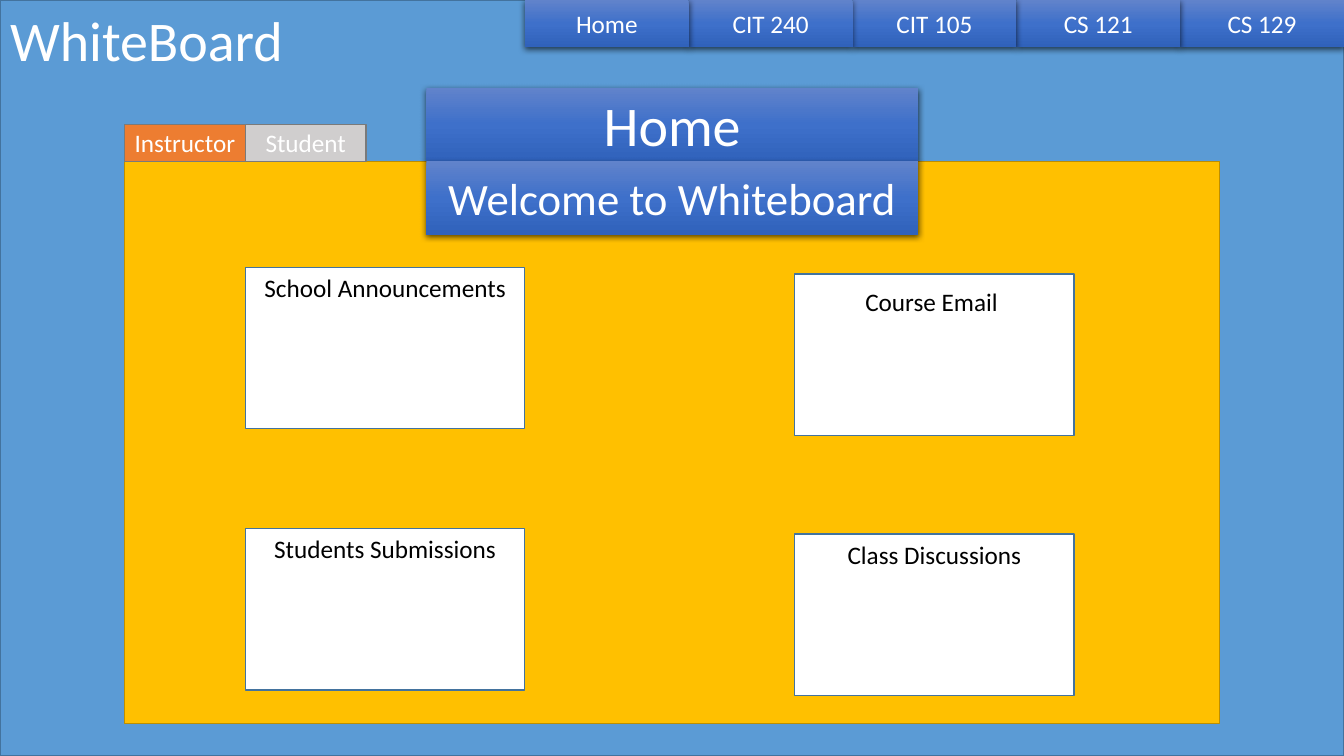
from dataclasses import dataclass
from typing import Optional

from lxml import etree
from pptx import Presentation
from pptx.dml.color import RGBColor
from pptx.enum.shapes import MSO_SHAPE
from pptx.enum.text import MSO_ANCHOR, MSO_AUTO_SIZE, PP_ALIGN
from pptx.oxml.ns import qn
from pptx.util import Pt

RECTANGLE = MSO_SHAPE.RECTANGLE
TOP, MIDDLE = MSO_ANCHOR.TOP, MSO_ANCHOR.MIDDLE
LEFT, CENTER = PP_ALIGN.LEFT, PP_ALIGN.CENTER
GROW = MSO_AUTO_SIZE.SHAPE_TO_FIT_TEXT
TITLE_ONLY = 5


@dataclass(frozen=True)
class Theme:
    font: str = "Calibri"
    heading: float = 40
    subheading: float = 32
    body: float = 18
    white: str = "FFFFFF"
    black: str = "000000"
    sky: str = "5B9BD5"
    blue_line: str = "43739E"
    gold: str = "FFC000"
    gold_line: str = "BD8E00"
    orange: str = "ED7D31"
    silver: str = "D0CECE"
    grey_line: str = "7A7A7A"
    glossy: tuple = ((0, "6183CB"), (50, "3E70CA"), (100, "3062BB"))


@dataclass(frozen=True)
class Box:
    left: float
    top: float
    width: float
    height: float

    def lengths(self) -> tuple:
        return Pt(self.left), Pt(self.top), Pt(self.width), Pt(self.height)


@dataclass(frozen=True)
class Button:
    text: str
    box: Box
    size: float


@dataclass(frozen=True)
class Tab:
    text: str
    fill: str


@dataclass(frozen=True)
class Card:
    text: str
    left: float
    top: float
    label_drop: float = 0


THEME = Theme()
SLIDE = Box(0, 0, 960, 540)
PANEL = Box(89, 115.2, 782, 401.6)

NAV_LEFT, NAV_WIDTH, NAV_HEIGHT = 375, 117, 33.8
NAV_NAMES = ("Home", "CIT 240", "CIT 105", "CS 121", "CS 129")
NAV = [Button(name, Box(NAV_LEFT + i * NAV_WIDTH, 0, NAV_WIDTH, NAV_HEIGHT), THEME.body)
       for i, name in enumerate(NAV_NAMES)]

BANNER_LEFT, BANNER_WIDTH, BANNER_HEIGHT = 304.5, 351.2, 52.4
BANNERS = (
    Button("Home", Box(BANNER_LEFT, PANEL.top - BANNER_HEIGHT, BANNER_WIDTH, BANNER_HEIGHT),
           THEME.heading),
    Button("Welcome to Whiteboard", Box(BANNER_LEFT, PANEL.top, BANNER_WIDTH, BANNER_HEIGHT),
           THEME.subheading),
)

TAB_WIDTH, TAB_HEIGHT = 86.3, 26.2
TABS = (Tab("Instructor", THEME.orange), Tab("Student", THEME.silver))

CARD_WIDTH, CARD_HEIGHT, LABEL_HEIGHT = 199.6, 115.4, 29.1
LEFT_COLUMN, RIGHT_COLUMN = 175.3, 567.6
CARDS = (
    Card("School Announcements", LEFT_COLUMN, 190.9),
    Card("Course Email ", RIGHT_COLUMN, 195.7, 5),
    Card("Students Submissions", LEFT_COLUMN, 377.4),
    Card("Class Discussions", RIGHT_COLUMN, 381.4, 0.6),
)


def write(shape, text: str, size: float, color: str, align=CENTER, anchor=MIDDLE) -> None:
    tf = shape.text_frame
    tf.word_wrap = True
    tf.vertical_anchor = anchor
    p = tf.paragraphs[0]
    p.alignment = align
    r = p.add_run()
    r.text = text
    r.font.name = THEME.font
    r.font.size = Pt(size)
    r.font.color.rgb = RGBColor.from_string(color)


def add_rectangle(s, box: Box, fill: Optional[str] = None, line: Optional[str] = None):
    sp = s.shapes.add_shape(RECTANGLE, *box.lengths())
    sp.shadow.inherit = False
    if fill:
        sp.fill.solid()
        sp.fill.fore_color.rgb = RGBColor.from_string(fill)
    if line:
        sp.line.color.rgb = RGBColor.from_string(line)
        sp.line.width = Pt(1)
    else:
        sp.line.fill.background()
    return sp


def add_color(parent, color: str):
    return etree.SubElement(parent, qn("a:srgbClr"), val=color)


def add_gloss(sp) -> None:
    """Give a shape the three-stop vertical gradient and a soft shadow below."""
    sp.fill.gradient()
    sp.fill.gradient_angle = 270
    stops = sp.element.spPr.find(f".//{qn('a:gsLst')}")
    for stop in list(stops):
        stops.remove(stop)
    for percent, color in THEME.glossy:
        add_color(etree.SubElement(stops, qn("a:gs"), pos=str(percent * 1000)), color)

    effects = sp.element.spPr.find(qn("a:effectLst"))
    shadow = etree.SubElement(effects, qn("a:outerShdw"), blurRad=str(Pt(4.5)),
                              dist=str(Pt(1.5)), dir="5400000", algn="ctr", rotWithShape="0")
    etree.SubElement(add_color(shadow, THEME.black), qn("a:alpha"), val="63000")


def add_button(s, button: Button) -> None:
    sp = add_rectangle(s, button.box)
    add_gloss(sp)
    write(sp, button.text, button.size, THEME.white)


def add_tab(s, tab: Tab, index: int) -> None:
    box = Box(PANEL.left + index * TAB_WIDTH, PANEL.top - TAB_HEIGHT, TAB_WIDTH, TAB_HEIGHT)
    sp = add_rectangle(s, box, tab.fill, THEME.grey_line)
    write(sp, tab.text, THEME.body, THEME.white)


def add_label(s, card: Card) -> None:
    box = Box(card.left, card.top + card.label_drop, CARD_WIDTH, LABEL_HEIGHT)
    tb = s.shapes.add_textbox(*box.lengths())
    tb.text_frame.auto_size = GROW
    write(tb, card.text, THEME.body, THEME.black, anchor=TOP)


def place_title(s, backdrop) -> None:
    title = s.shapes.title
    backdrop.element.addnext(title.element)
    title.left, title.top, title.width, title.height = Box(0, 0, 229.7, 55.7).lengths()
    write(title, "WhiteBoard", THEME.heading, THEME.white, LEFT, TOP)
    title.text_frame.auto_size = GROW
    title.text_frame.paragraphs[0].line_spacing = 1.0


def main() -> None:
    prs = Presentation()
    prs.slide_width, prs.slide_height = Pt(SLIDE.width), Pt(SLIDE.height)
    s = prs.slides.add_slide(prs.slide_layouts[TITLE_ONLY])

    place_title(s, add_rectangle(s, SLIDE, THEME.sky, THEME.blue_line))
    for button in reversed(NAV):
        add_button(s, button)
    add_rectangle(s, PANEL, THEME.gold, THEME.gold_line)
    for index, tab in enumerate(TABS):
        add_tab(s, tab, index)
    for banner in BANNERS:
        add_button(s, banner)
    for card in CARDS:
        box = Box(card.left, card.top, CARD_WIDTH, CARD_HEIGHT)
        add_rectangle(s, box, THEME.white, THEME.blue_line)
    for card in CARDS:
        add_label(s, card)

    prs.save("out.pptx")


if __name__ == "__main__":
    main()
